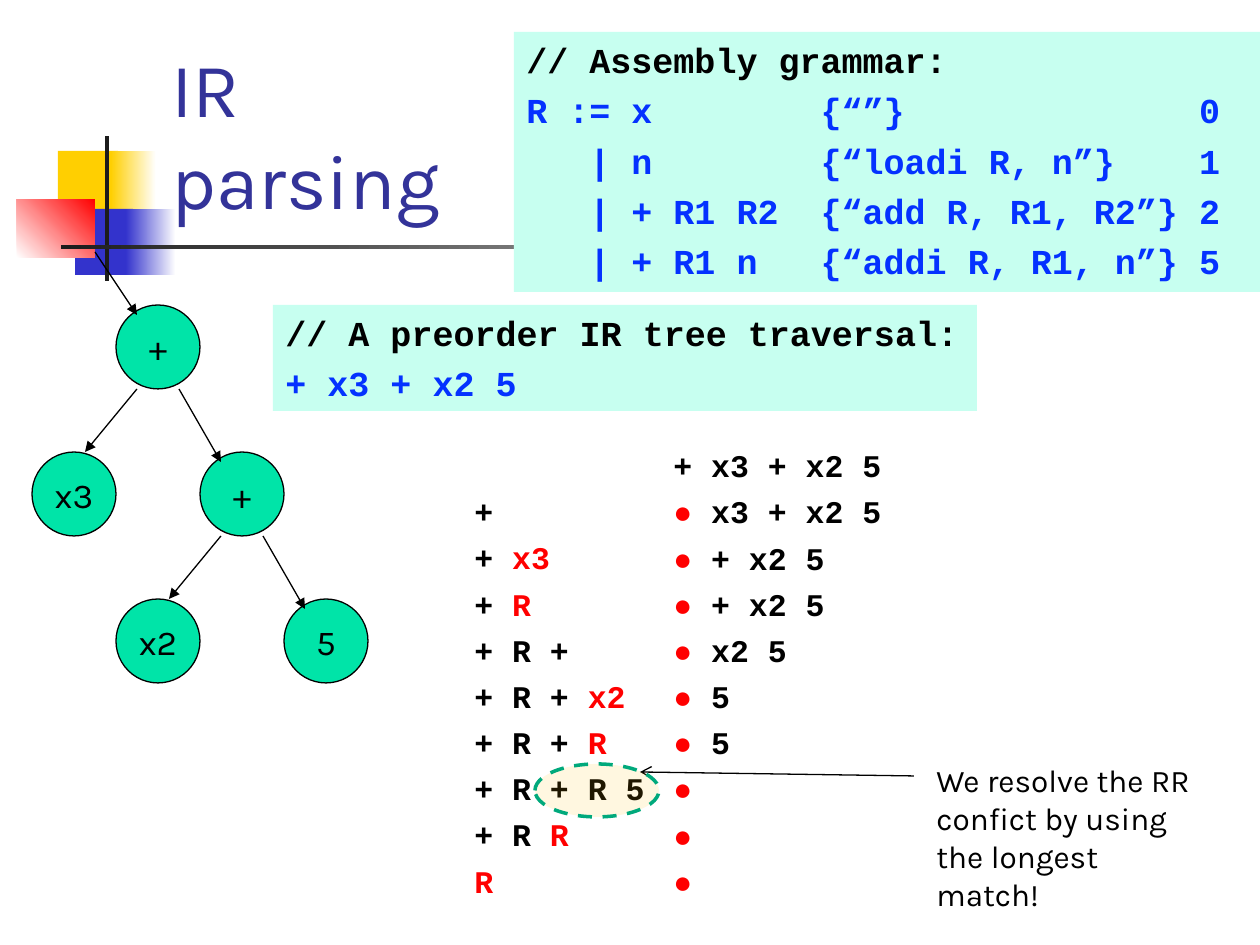
import pptx
import pptx.util
import pptx.dml.color
import pptx.enum.dml
import pptx.enum.shapes
import pptx.enum.text
import pptx.oxml
import pptx.oxml.ns
from lxml import etree

PX = 914400 // 126
SHAPE = pptx.enum.shapes.MSO_SHAPE
ANCHOR = pptx.enum.text.MSO_ANCHOR
ALIGN = pptx.enum.text.PP_ALIGN
CODE, BODY = "Courier New", "Karla"
COLORS = {
    "yellow": "FFCF01", "indigo": "3333CC", "red": "FF0000", "ink": "1C1C1C",
    "white": "FFFFFF", "title": "333399", "black": "000000", "node": "00E4A8",
    "mint": "C7FFF0", "code": "0432FF", "amber": "FFC000", "green": "00A97C",
}

# left, top, width, height, colours, clockwise gradient angle
DECORATION = [
    (58, 151, 60, 65, ["yellow"], 0),
    (111, 151, 45, 65, ["yellow", "white"], 0),
    (75, 209, 58, 66, ["indigo"], 0),
    (126, 209, 50, 66, ["indigo", "white"], 0),
    (17, 199, 78, 59, ["white", "red"], 315),
    (105, 136, 4, 145, ["ink"], 0),
    (61, 245, 1134, 4, ["ink", "white"], 0),
]

# label, column, row, parent, side of the parent
TREE = [
    ("+", 1, 0, None, "right"),
    ("x3", 0, 1, 0, "left"),
    ("+", 2, 1, 0, "right"),
    ("x2", 1, 2, 2, "left"),
    ("5", 3, 2, 2, "right"),
]
NODE_SIZE, TREE_LEFT, TREE_TOP, ROW_STEP = 84, 32, 305, 147

TRAVERSAL = ["// A preorder IR tree traversal:", "+ x3 + x2 5"]
GRAMMAR = [
    "// Assembly grammar:",
    "R := x        {“”}              0",
    "   | n        {“loadi R, n”}    1",
    "   | + R1 R2  {“add R, R1, R2”} 2",
    "   | + R1 n   {“addi R, R1, n”} 5",
]

# symbols read, symbol just read or reduced, remaining input
INPUT = "+ x3 + x2 5"
STEPS = [
    ("+", "", "x3 + x2 5"),
    ("+ ", "x3", "+ x2 5"),
    ("+ ", "R", "+ x2 5"),
    ("+ R +", "", "x2 5"),
    ("+ R + ", "x2", "5"),
    ("+ R + ", "R", "5"),
    ("+ R + R 5", "", ""),
    ("+ R ", "R", ""),
    ("", "R", ""),
]
TRACE_TOP, TRACE_ROW = 440, 46
CONFLICT_ROW = 7
CONFLICT_WIDTH, CONFLICT_HEIGHT = 124, 53
NOTE = "We resolve the RR confict by using the longest match!"


def rgb(name):
    return pptx.dml.color.RGBColor.from_string(COLORS[name])


def px(*lengths):
    return [length * PX for length in lengths]


def add_shape(slide, kind, box, colors, angle=0, line=None, width=0.75):
    shape = slide.shapes.add_shape(kind, *px(*box))
    shape.shadow.inherit = False
    if len(colors) == 1:
        shape.fill.solid()
        shape.fill.fore_color.rgb = rgb(colors[0])
    else:
        shape.fill.gradient()
        shape.fill.gradient_angle = -angle % 360
        for stop, color in zip(shape.fill.gradient_stops, colors):
            stop.color.rgb = rgb(color)
    if line:
        shape.line.color.rgb = rgb(line)
        shape.line.width = pptx.util.Pt(width)
    else:
        shape.line.fill.background()
    return shape


def write(shape, lines, font, size, wrap=True, anchor=ANCHOR.TOP, align=ALIGN.LEFT):
    """Fill a shape with lines, each a list of (text, colour, bold) runs."""
    frame = shape.text_frame
    frame.word_wrap = wrap
    frame.vertical_anchor = anchor
    for index, runs in enumerate(lines):
        paragraph = frame.add_paragraph() if index else frame.paragraphs[0]
        paragraph.alignment = align
        if index:
            paragraph.space_before = pptx.util.Pt(4.8)
        for text, color, bold in runs:
            run = paragraph.add_run()
            run.text = text
            run.font.name = font
            run.font.size = pptx.util.Pt(size)
            run.font.bold = bold
            run.font.color.rgb = rgb(color)


def add_text(slide, box, lines, font, size):
    write(slide.shapes.add_textbox(*px(*box)), lines, font, size)


def add_title(slide):
    frame = slide.shapes.add_textbox(*px(159, 29, 1074, 202)).text_frame
    frame.word_wrap = True
    frame.vertical_anchor = ANCHOR.BOTTOM
    frame.text = "IR\vparsing"
    for run in frame.paragraphs[0].runs:
        run.font.name = BODY
        run.font.size = pptx.util.Pt(44)
        run.font.color.rgb = rgb("title")


def add_code(slide, box, lines):
    heading, *rest = lines
    runs = [[(heading, "black", True)]] + [[(line, "code", True)] for line in rest]
    write(add_shape(slide, SHAPE.RECTANGLE, box, ["mint"]), runs, CODE, 20)


def add_arrow(slide, start, end, head="triangle"):
    arrow = slide.shapes.add_connector(
        pptx.enum.shapes.MSO_CONNECTOR.STRAIGHT, *px(*start, *end))
    arrow.line.color.rgb = rgb("black")
    arrow.line.width = pptx.util.Pt(0.75)
    line = arrow._element.spPr.find(pptx.oxml.ns.qn("a:ln"))
    etree.SubElement(line, pptx.oxml.ns.qn("a:tailEnd")).set("type", head)
    etree.SubElement(arrow._element.spPr, pptx.oxml.ns.qn("a:effectLst"))


def add_tree(slide):
    corners = [(TREE_LEFT + NODE_SIZE * column, TREE_TOP + ROW_STEP * row)
               for _, column, row, _, _ in TREE]
    for (label, _, _, parent, side), (left, top) in zip(TREE, corners):
        node = add_shape(slide, SHAPE.OVAL, (left, top, NODE_SIZE, NODE_SIZE),
                         ["node"], line="black")
        write(node, [[(label, "black", False)]], BODY, 20, wrap=False,
              anchor=ANCHOR.MIDDLE, align=ALIGN.CENTER)
        end = (left + 53, top) if side == "left" else (left + 21, top + 10)
        if parent is None:
            start = (end[0] - 42, end[1] - 63)
        else:
            parent_left, parent_top = corners[parent]
            start = (parent_left + (21 if side == "left" else 63), parent_top + NODE_SIZE)
        add_arrow(slide, start, end)


def add_trace(slide):
    remaining = [[(INPUT, "black", True)]]
    stack = []
    for read, latest, rest in STEPS:
        dot = ("● " if rest else "●", "red", False)
        remaining.append([dot] + ([(rest, "black", True)] if rest else []))
        runs = [(read, "black", True), (latest, "red", True)]
        stack.append([run for run in runs if run[0]])
    height = TRACE_ROW * len(remaining) + 13
    add_text(slide, (661, TRACE_TOP, 242, height), remaining, CODE, 18)
    add_text(slide, (462, TRACE_TOP + TRACE_ROW, 210, height - TRACE_ROW), stack, CODE, 18)


def add_conflict(slide):
    """Ring the conflicting row and point at the ring's upper right from the note."""
    left = 535
    middle = TRACE_TOP + 28 + TRACE_ROW * CONFLICT_ROW
    box = (left, middle - CONFLICT_HEIGHT // 2, CONFLICT_WIDTH, CONFLICT_HEIGHT)
    tip = (left + CONFLICT_WIDTH * 85 // 100, middle - CONFLICT_HEIGHT * 35 // 100)
    add_arrow(slide, (914, 776), tip, head="arrow")
    add_text(slide, (924, 755, 294, 127), [[(NOTE, "black", False)]], BODY, 18)
    ring = add_shape(slide, SHAPE.OVAL, box, ["amber"], line="green", width=2)
    ring.line.dash_style = pptx.enum.dml.MSO_LINE.DASH
    color = ring._element.spPr.find(
        pptx.oxml.ns.qn("a:solidFill") + "/" + pptx.oxml.ns.qn("a:srgbClr"))
    etree.SubElement(color, pptx.oxml.ns.qn("a:alpha")).set("val", "12000")


def main():
    presentation = pptx.Presentation()
    presentation.slide_width, presentation.slide_height = px(1260, 945)
    slide = presentation.slides.add_slide(presentation.slide_layouts[6])

    for *box, colors, angle in DECORATION:
        add_shape(slide, SHAPE.RECTANGLE, box, colors, angle)
    add_title(slide)
    add_tree(slide)
    add_code(slide, (273, 305, 704, 106), TRAVERSAL)
    add_trace(slide)
    add_code(slide, (514, 32, 746, 260), GRAMMAR)
    add_conflict(slide)

    presentation.save("out.pptx")


if __name__ == "__main__":
    main()
